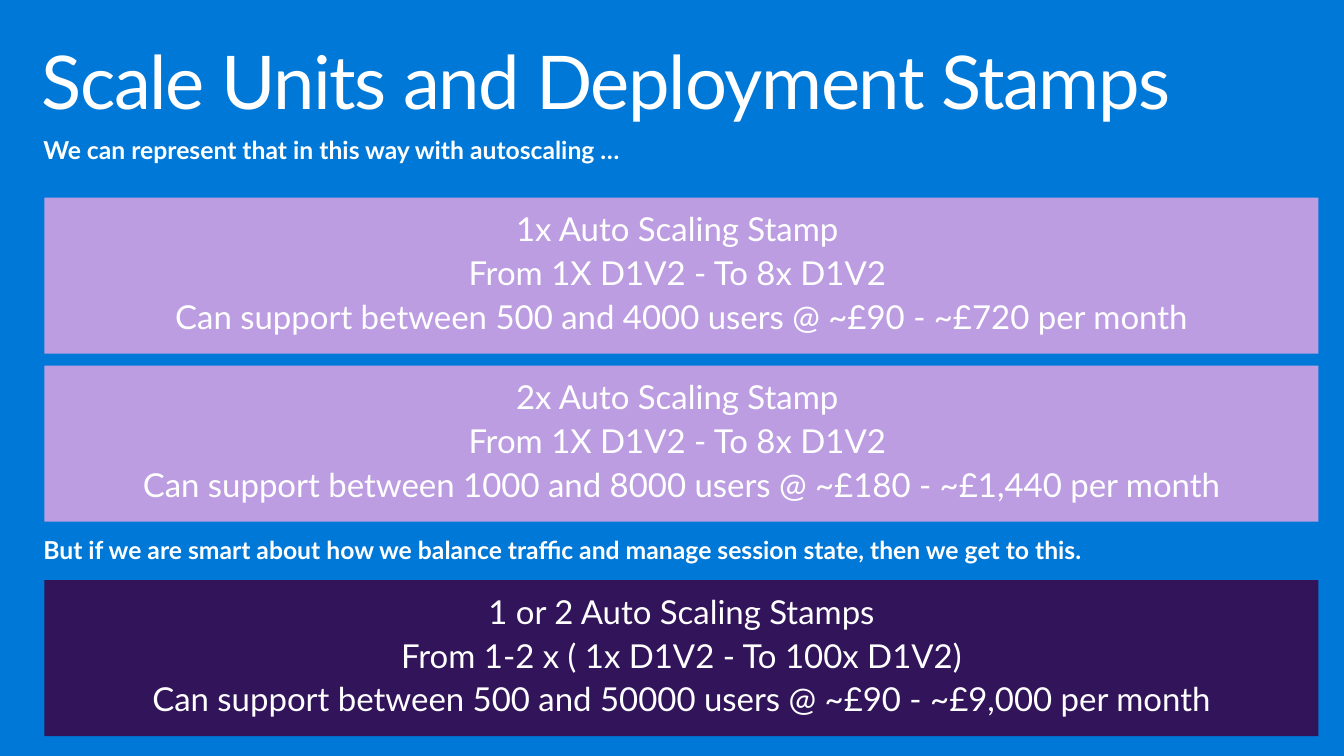
from dataclasses import dataclass

from pptx import Presentation
from pptx.dml.color import RGBColor
from pptx.enum.shapes import MSO_SHAPE
from pptx.enum.text import MSO_ANCHOR, PP_ALIGN
from pptx.util import Inches, Pt


@dataclass(frozen=True)
class Theme:
    font: str = "Lato"
    background: RGBColor = RGBColor(0x00, 0x78, 0xD7)
    text: RGBColor = RGBColor(0xFF, 0xFF, 0xFF)
    scaling: RGBColor = RGBColor(0xBD, 0x9D, 0xE1)
    balanced: RGBColor = RGBColor(0x32, 0x14, 0x5A)
    title_size: int = 54
    caption_size: int = 18
    stamp_size: int = 24


THEME = Theme()

CAPTIONS = [
    (1.35, 6.48, "We can represent that in this way with autoscaling …"),
    (5.4, 11.43, "But if we are smart about how we balance traffic and "
                 "manage session state, then we get to this."),
]

STAMPS = [
    (2, THEME.scaling, [
        "1x Auto Scaling Stamp ",
        "From 1X D1V2 - To 8x D1V2 ",
        "Can support between 500 and 4000 users @ ~£90 - ~£720 per month",
    ]),
    (3.7, THEME.scaling, [
        "2x Auto Scaling Stamp ",
        "From 1X D1V2 - To 8x D1V2 ",
        "Can support between 1000 and 8000 users @ ~£180 - ~£1,440 per month",
    ]),
    (5.87, THEME.balanced, [
        "1 or 2 Auto Scaling Stamps",
        "From 1-2 x ( 1x D1V2 - To 100x D1V2)",
        "Can support between 500 and 50000 users @ ~£90 - ~£9,000 per month",
    ]),
]


def write_lines(frame, lines, size, align=PP_ALIGN.LEFT, bold=False, after=6):
    frame.vertical_anchor = MSO_ANCHOR.TOP
    frame.text = "\n".join(lines)
    for line in frame.paragraphs:
        line.alignment = align
        line.line_spacing = 0.9
        line.space_after = Pt(after)
        line.font.name = THEME.font
        line.font.size = Pt(size)
        line.font.bold = bold
        line.font.color.rgb = THEME.text


def set_margins(frame, side, end):
    frame.margin_left = frame.margin_right = Inches(side)
    frame.margin_top = frame.margin_bottom = Inches(end)


def add_title(slide, text):
    title = slide.shapes.add_textbox(
        Inches(0.26), Inches(0.36), Inches(13), Inches(1.02))
    frame = title.text_frame
    frame.word_wrap = True
    set_margins(frame, 0.16, 0.1)
    write_lines(frame, [text], THEME.title_size, after=0)
    # Tighten the letters by one point
    frame.paragraphs[0].runs[0]._r.get_or_add_rPr().set("spc", "-100")


def add_caption(slide, top, width, text):
    caption = slide.shapes.add_textbox(
        Inches(0.34), Inches(top), Inches(width), Inches(0.37))
    caption.text_frame.word_wrap = False
    write_lines(caption.text_frame, [text], THEME.caption_size, bold=True)


def add_stamp(slide, top, color, lines):
    stamp = slide.shapes.add_shape(
        MSO_SHAPE.RECTANGLE,
        Inches(0.45), Inches(top), Inches(12.89), Inches(1.58))
    stamp.shadow.inherit = False
    stamp.fill.solid()
    stamp.fill.fore_color.rgb = color
    stamp.line.fill.background()
    stamp.text_frame.word_wrap = True
    set_margins(stamp.text_frame, 0.2, 0.16)
    write_lines(stamp.text_frame, lines, THEME.stamp_size, PP_ALIGN.CENTER)


def main():
    deck = Presentation()
    deck.slide_width, deck.slide_height = Inches(13.6), Inches(7.65)
    slide = deck.slides.add_slide(deck.slide_layouts[6])
    slide.background.fill.solid()
    slide.background.fill.fore_color.rgb = THEME.background

    # Heading
    add_title(slide, "Scale Units and Deployment Stamps")

    # Explanations
    for top, width, text in CAPTIONS:
        add_caption(slide, top, width, text)

    # Stamp panels
    for top, color, lines in STAMPS:
        add_stamp(slide, top, color, lines)

    deck.save("out.pptx")


if __name__ == "__main__":
    main()
